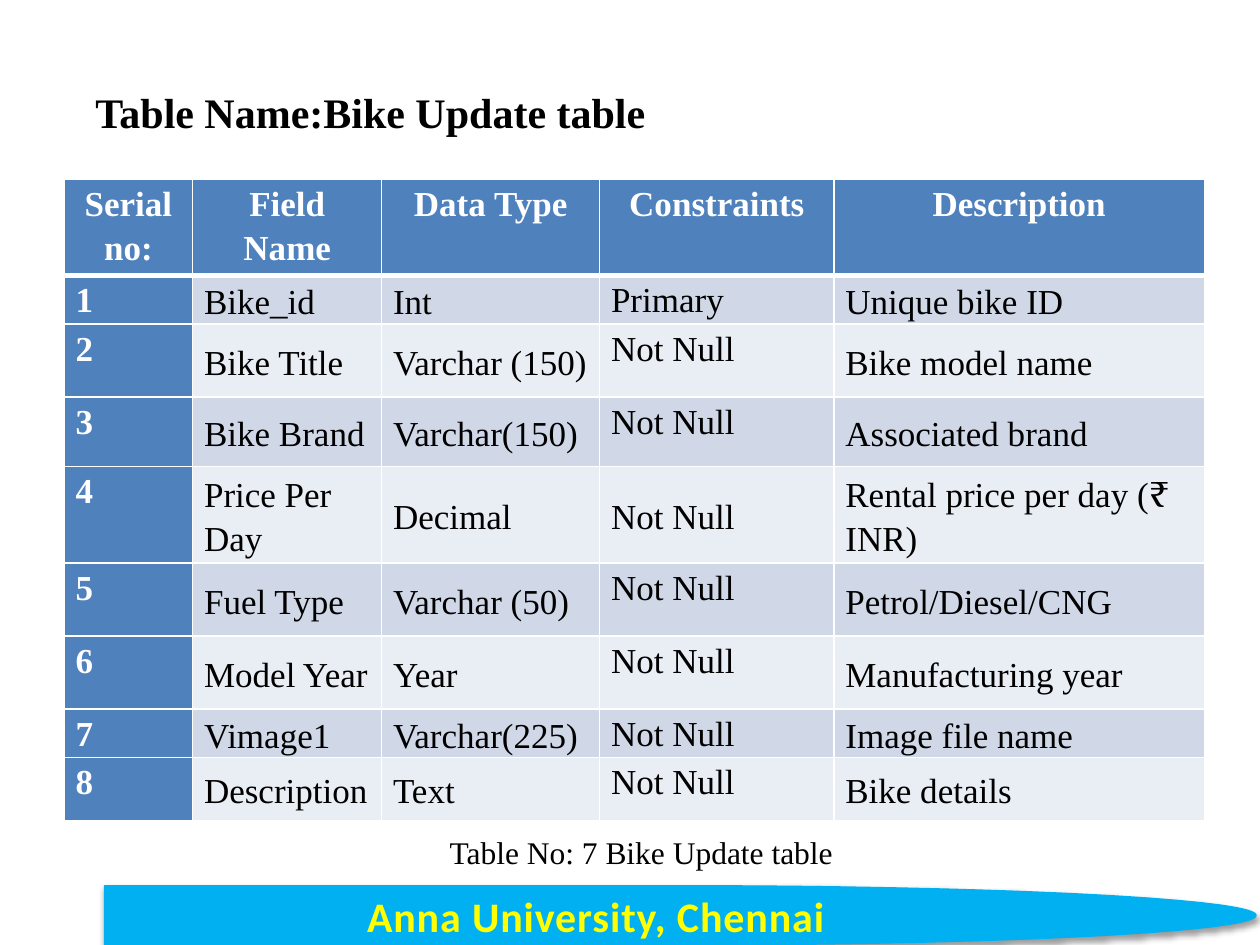
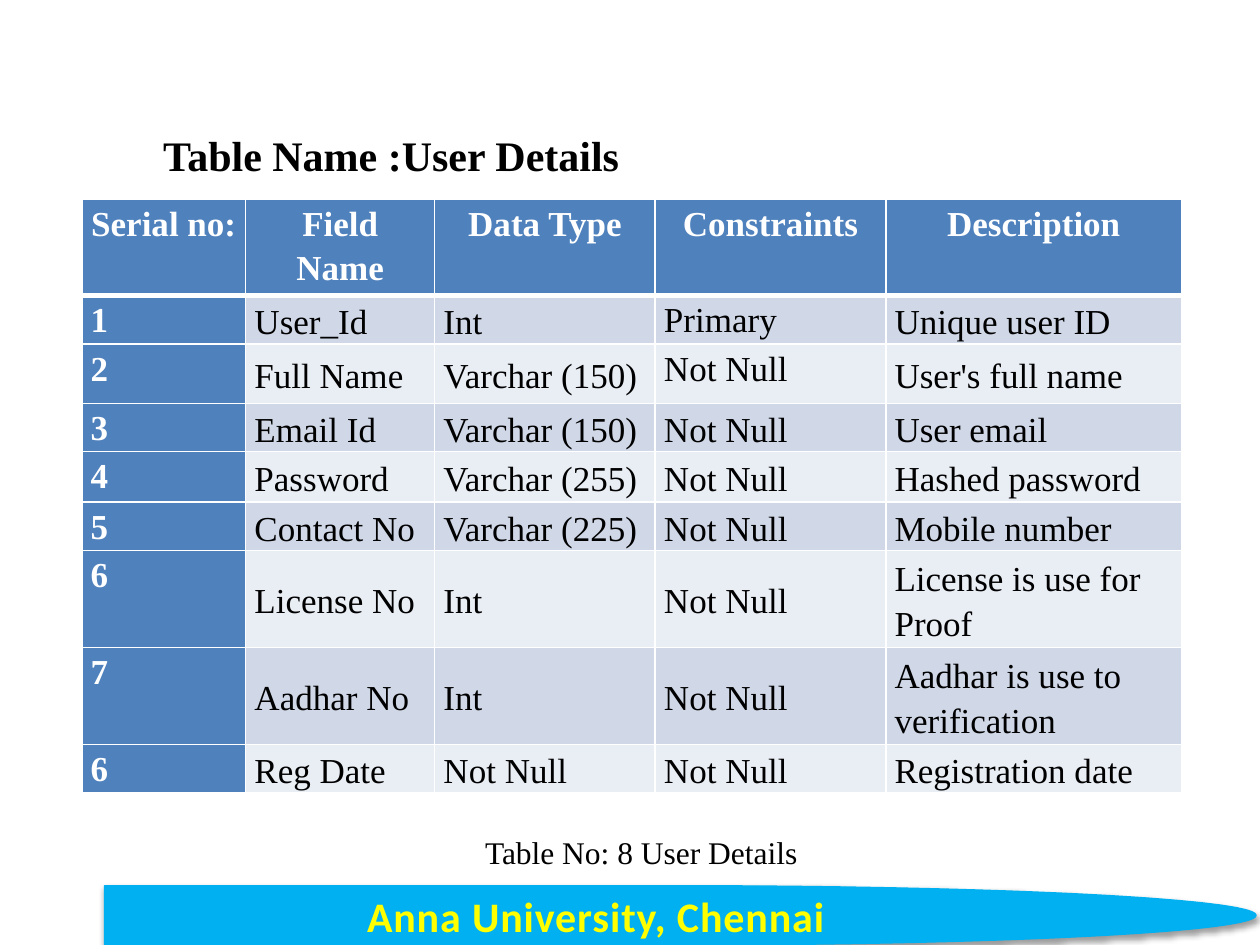
"""Build two data dictionary slides, each with a titled field table and a footer."""
from dataclasses import dataclass

from lxml import etree
from pptx import Presentation, util as u
from pptx.dml.color import RGBColor
from pptx.enum import shapes, text
from pptx.oxml import parse_xml
from pptx.oxml.ns import nsdecls, qn


@dataclass(frozen=True)
class Theme:
    """Colours, fonts and sizes that both slides share."""
    white: str = "FFFFFF"
    black: str = "000000"
    header: str = "4F81BD"
    bands: tuple = ("D0D8E8", "E9EDF4")
    footer: str = "00B0F0"
    footer_text: str = "FFFF00"
    footer_outline: str = "E78738"
    serif: str = "Times New Roman"
    sans: str = "Calibri"
    title_size: int = 24
    cell_size: int = 20
    caption_size: int = 18
    line_spacing: float = 1.15


T = Theme()
GRID_COLUMNS, GRID_ROWS = 100, 75
FOOTER = "Anna University, Chennai"
HEADINGS = ("Serial no:", "Field Name", "Data Type", "Constraints", "Description")
CONSTRAINTS = HEADINGS.index("Constraints")

BIKE_FIELDS = (
    ("1", "Bike_id", "Int", "Primary", "Unique bike ID"),
    ("2", "Bike Title", "Varchar (150)", "Not Null", "Bike model name"),
    ("3", "Bike Brand", "Varchar(150)", "Not Null", "Associated brand"),
    ("4", "Price Per Day", "Decimal", "Not Null", "Rental price per day (₹ INR)"),
    ("5", "Fuel Type", "Varchar (50)", "Not Null", "Petrol/Diesel/CNG"),
    ("6", "Model Year", "Year", "Not Null", "Manufacturing year"),
    ("7", "Vimage1", "Varchar(225)", "Not Null", "Image file name"),
    ("8", "Description", "Text", "Not Null", "Bike details"),
)
USER_FIELDS = (
    ("1", "User_Id", "Int", "Primary", "Unique user ID"),
    ("2", "Full Name", "Varchar (150)", "Not Null", "User's full name"),
    ("3", "Email Id", "Varchar (150)", "Not Null", "User email"),
    ("4", "Password", "Varchar (255)", "Not Null", "Hashed password"),
    ("5", "Contact No", "Varchar (225)", "Not Null", "Mobile number"),
    ("6", "License No", "Int", "Not Null", "License is use for Proof"),
    ("7", "Aadhar No", "Int", "Not Null", "Aadhar is use to verification"),
    ("6", "Reg Date", "Not Null", "Not Null", "Registration date"),
)


def grid(*cells):
    """Turn square grid cells into lengths."""
    return [u.Inches(c * 10 / GRID_COLUMNS) for c in cells]


def rgb(colour):
    """Turn a hex string into a colour."""
    return RGBColor.from_string(colour)


def write(tf, words, size, colour=T.black, bold=False, centred=True,
          font=T.serif, spacing=T.line_spacing):
    """Set one formatted paragraph and return its run."""
    tf.text = words
    tf.word_wrap = True
    p = tf.paragraphs[0]
    p.alignment = text.PP_ALIGN.CENTER if centred else text.PP_ALIGN.LEFT
    p.line_spacing = spacing
    r = p.runs[0]
    r.font.name, r.font.size, r.font.bold = font, u.Pt(size), bold
    r.font.color.rgb = rgb(colour)
    return r


def add_title(s, words, box):
    """Place and format the title placeholder."""
    sp = s.shapes.title
    sp.left, sp.top, sp.width, sp.height = grid(*box)
    tf = sp.text_frame
    write(tf, words, T.title_size, bold=True)
    tf.vertical_anchor = text.MSO_ANCHOR.TOP
    tf.auto_size = text.MSO_AUTO_SIZE.SHAPE_TO_FIT_TEXT


def add_caption(s, words):
    """Add the table number line above the footer."""
    tf = s.shapes.add_textbox(*grid(25.8, 65.2, 50.2, 4.5)).text_frame
    write(tf, words, T.caption_size)
    tf.auto_size = text.MSO_AUTO_SIZE.SHAPE_TO_FIT_TEXT


def add_footer(s):
    """Add the shadowed band that carries the university's name."""
    sp = s.shapes.add_shape(shapes.MSO_SHAPE.FLOWCHART_DELAY,
                            *grid(8.3, 70.3, 91.4, GRID_ROWS - 70.3))
    sp.shadow.inherit = False
    sp.fill.solid()
    sp.fill.fore_color.rgb = rgb(T.footer)
    sp.line.color.rgb = rgb(T.footer)
    sp.line.width = u.Pt(0.75)
    effects = sp.element.spPr.find(qn("a:effectLst"))
    effects.append(parse_xml(
        f'<a:outerShdw {nsdecls("a")} blurRad="40000" dist="20000" dir="5400000" '
        f'rotWithShape="0"><a:srgbClr val="{T.black}"><a:alpha val="38000"/>'
        '</a:srgbClr></a:outerShdw>'))
    sp.text_frame.vertical_anchor = text.MSO_ANCHOR.MIDDLE
    r = write(sp.text_frame, FOOTER, T.title_size, T.footer_text, True,
              font=T.sans, spacing=1.0)
    props = r.font._element
    props.set("spc", "50")
    props.insert(0, outline("ln", T.footer_outline, 1))


def outline(tag, colour, points):
    """Make a solid line element for text or a cell edge."""
    ln = etree.Element(qn(f"a:{tag}"), w=str(u.Pt(points)))
    fill = etree.SubElement(ln, qn("a:solidFill"))
    etree.SubElement(fill, qn("a:srgbClr"), val=colour)
    return ln


def style_cell(cell, words, row, column, inset, top_rows):
    """Format a cell by its place in the table."""
    is_header, is_label = row == 0, row == 0 or column == 0
    props = cell._tc.get_or_add_tcPr()
    widths = {"lnL": 1, "lnR": 1, "lnT": 3 if row == 1 else 1,
              "lnB": 3 if is_header else 1}
    for tag, points in widths.items():
        props.append(outline(tag, T.white, points))
    cell.fill.solid()
    cell.fill.fore_color.rgb = rgb(T.header if is_label else T.bands[(row - 1) % 2])
    cell.margin_left = cell.margin_right = u.Inches(inset)
    cell.margin_top = cell.margin_bottom = 0
    at_top = is_label or (column == CONSTRAINTS and row in top_rows)
    cell.vertical_anchor = text.MSO_ANCHOR.TOP if at_top else text.MSO_ANCHOR.MIDDLE
    write(cell.text_frame, words, T.cell_size, T.white if is_label else T.black,
          is_label, is_header)


def add_field_table(s, fields, origin, widths, heights, inset, top_rows):
    """Add a table of fields under the shared headings."""
    rows = (HEADINGS, *fields)
    box = grid(*origin, sum(widths), sum(heights))
    table = s.shapes.add_table(len(rows), len(HEADINGS), *box).table
    for column, width in zip(table.columns, grid(*widths)):
        column.width = width
    for i, height in enumerate(grid(*heights)):
        table.rows[i].height = height
        for j, words in enumerate(rows[i]):
            style_cell(table.cell(i, j), words, i, j, inset, top_rows)


def add_dictionary_slide(prs, title, title_box, caption, **table):
    """Add a slide with title, field table, caption and footer."""
    s = prs.slides.add_slide(prs.slide_layouts.get_by_name("Title Only"))
    add_footer(s)
    add_caption(s, caption)
    add_field_table(s, **table)
    add_title(s, title, title_box)


def main():
    """Build and save the presentation."""
    prs = Presentation()
    prs.slide_width, prs.slide_height = grid(GRID_COLUMNS, GRID_ROWS)
    add_dictionary_slide(
        prs, "Table Name:Bike Update table", (4.3, 5.8, 50.2, 5.7),
        "Table No: 7 Bike Update table",
        fields=BIKE_FIELDS, origin=(5.1, 14.2),
        widths=(10.2, 15, 17.3, 18.6, 29.4),
        heights=(7.4, 3.7, 5.8, 5.5, 7.4, 5.8, 5.8, 3.7, 5),
        inset=0.09, top_rows={1, 2, 3, 5, 6, 7, 8})
    add_dictionary_slide(
        prs, "Table Name :User Details", (3.8, 9.2, 54.5, 5.3),
        "Table No: 8 User Details",
        fields=USER_FIELDS, origin=(6.5, 15.8),
        widths=(13, 15, 17.5, 18.3, 23.5),
        heights=(7.6, 3.8, 4.7, 3.8, 4, 3.8, 7.7, 7.7, 3.8),
        inset=0.07, top_rows={1, 2})
    prs.save("out.pptx")


if __name__ == "__main__":
    main()
